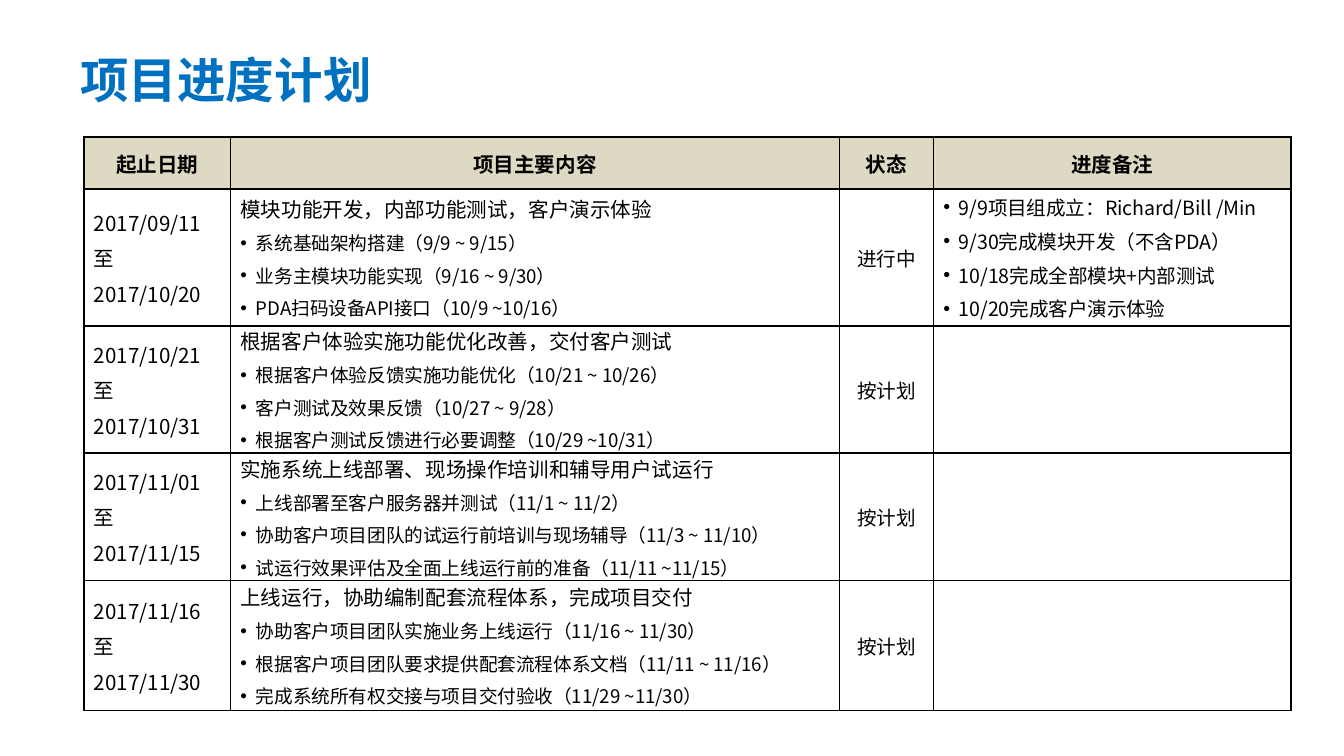
"""Build a project schedule slide with a bordered plan table."""
import pptx
import pptx.dml.color
import pptx.enum.text
import pptx.oxml
import pptx.oxml.ns
import pptx.util

Pt = pptx.util.Pt
ALIGN = pptx.enum.text.PP_ALIGN
MIDDLE = pptx.enum.text.MSO_ANCHOR.MIDDLE
FONT = "Noto Sans CJK SC"
COLOURS = {"title": "0070C0", "text": "000000", "header": "DDD9C3", "border": "000000"}
COLUMN_WIDTHS = [78.5, 326.2, 50.4, 191.5]
ROW_HEIGHTS = [28.1, 73.2, 68, 68, 69.7]
HEADERS = ["起止日期", "项目主要内容", "状态", "进度备注"]
STAGES = [
    {
        "dates": ["2017/09/11", "至", "2017/10/20"],
        "goal": "模块功能开发，内部功能测试，客户演示体验",
        "tasks": [
            "系统基础架构搭建（9/9 ~ 9/15）",
            "业务主模块功能实现（9/16 ~ 9/30）",
            "PDA扫码设备API接口（10/9 ~10/16）",
        ],
        "status": "进行中",
        "notes": [
            "9/9项目组成立：Richard/Bill /Min ",
            "9/30完成模块开发（不含PDA）",
            "10/18完成全部模块+内部测试",
            "10/20完成客户演示体验",
        ],
    },
    {
        "dates": ["2017/10/21", "至", "2017/10/31"],
        "goal": "根据客户体验实施功能优化改善，交付客户测试",
        "tasks": [
            "根据客户体验反馈实施功能优化（10/21 ~ 10/26）",
            "客户测试及效果反馈（10/27 ~ 9/28）",
            "根据客户测试反馈进行必要调整（10/29 ~10/31）",
        ],
        "status": "按计划",
        "notes": [],
    },
    {
        "dates": ["2017/11/01", "至", "2017/11/15"],
        "goal": "实施系统上线部署、现场操作培训和辅导用户试运行",
        "tasks": [
            "上线部署至客户服务器并测试（11/1 ~ 11/2）",
            "协助客户项目团队的试运行前培训与现场辅导（11/3 ~ 11/10）",
            "试运行效果评估及全面上线运行前的准备（11/11 ~11/15）",
        ],
        "status": "按计划",
        "notes": [],
    },
    {
        "dates": ["2017/11/16", "至", "2017/11/30"],
        "goal": "上线运行，协助编制配套流程体系，完成项目交付",
        "tasks": [
            "协助客户项目团队实施业务上线运行（11/16 ~ 11/30）",
            "根据客户项目团队要求提供配套流程体系文档（11/11 ~ 11/16）",
            "完成系统所有权交接与项目交付验收（11/29 ~11/30）",
        ],
        "status": "按计划",
        "notes": [],
    },
]


def rgb(name):
    return pptx.dml.color.RGBColor.from_string(COLOURS[name])


def add_bullet(para):
    properties = para._p.get_or_add_pPr()
    properties.set("marL", str(Pt(8.3)))
    properties.set("indent", str(-Pt(8.3)))
    for tag, attribute, value in (("buFont", "typeface", "Arial"), ("buChar", "char", "•")):
        element = pptx.oxml.parse_xml(f"<a:{tag} {pptx.oxml.ns.nsdecls('a')} {attribute}='{value}'/>")
        properties.append(element)


def write(frame, text, size=11, bold=False, colour="text", align=None, after=0, bullet=False):
    para = frame.paragraphs[0]
    if para.runs:
        para = frame.add_paragraph()
    para.alignment = align
    para.space_after = Pt(after)
    if bullet:
        add_bullet(para)
    span = para.add_run()
    span.text = text
    span.font.size = Pt(size)
    span.font.bold = bold
    span.font.name = FONT
    span.font.color.rgb = rgb(colour)
    east_asian = pptx.oxml.parse_xml(f"<a:ea {pptx.oxml.ns.nsdecls('a')} typeface='{FONT}'/>")
    span.font._element.append(east_asian)


def write_list(frame, items, size=11, bullet=False):
    for item in items:
        write(frame, item, size=size, align=ALIGN.JUSTIFY, after=3, bullet=bullet)


def format_cell(cell, fill=None):
    cell.margin_left = cell.margin_right = Pt(5.3)
    cell.margin_top = cell.margin_bottom = Pt(0)
    cell.vertical_anchor = MIDDLE
    if fill:
        cell.fill.solid()
        cell.fill.fore_color.rgb = rgb(fill)
    else:
        cell.fill.background()
    properties = cell._tc.get_or_add_tcPr()
    for position, side in enumerate("LRTB"):
        border = pptx.oxml.parse_xml(
            f"<a:ln{side} {pptx.oxml.ns.nsdecls('a')} w='{Pt(1)}'><a:solidFill>"
            f"<a:srgbClr val='{COLOURS['border']}'/></a:solidFill></a:ln{side}>"
        )
        properties.insert(position, border)


def add_title(page, text):
    box = page.shapes.add_textbox(Pt(36), Pt(16.6), Pt(380), Pt(51))
    box.text_frame.word_wrap = True
    box.text_frame.vertical_anchor = MIDDLE
    write(box.text_frame, text, size=26, bold=True, colour="title")


def add_plan_table(page):
    frame = page.shapes.add_table(
        len(ROW_HEIGHTS), len(COLUMN_WIDTHS), Pt(45), Pt(73.3),
        Pt(sum(COLUMN_WIDTHS)), Pt(sum(ROW_HEIGHTS)),
    )
    table = frame.table
    table.first_row = table.horz_banding = False
    for column, width in zip(table.columns, COLUMN_WIDTHS):
        column.width = Pt(width)
    for row, height in zip(table.rows, ROW_HEIGHTS):
        row.height = Pt(height)
    for cell, header in zip(table.rows[0].cells, HEADERS):
        format_cell(cell, fill="header")
        write(cell.text_frame, header, bold=True, align=ALIGN.CENTER)
    for number, stage in enumerate(STAGES, start=1):
        cells = list(table.rows[number].cells)
        for cell in cells:
            format_cell(cell)
        dates, content, status, notes = [cell.text_frame for cell in cells]
        write_list(dates, stage["dates"])
        write_list(content, [stage["goal"]])
        write_list(content, stage["tasks"], size=10, bullet=True)
        write(status, stage["status"], size=10.5, align=ALIGN.CENTER)
        write_list(notes, stage["notes"], size=10.5, bullet=True)


def main():
    deck = pptx.Presentation()
    deck.slide_width, deck.slide_height = Pt(720), Pt(405)
    page = deck.slides.add_slide(deck.slide_layouts[6])
    add_plan_table(page)
    add_title(page, "项目进度计划")
    deck.save("out.pptx")


if __name__ == "__main__":
    main()
